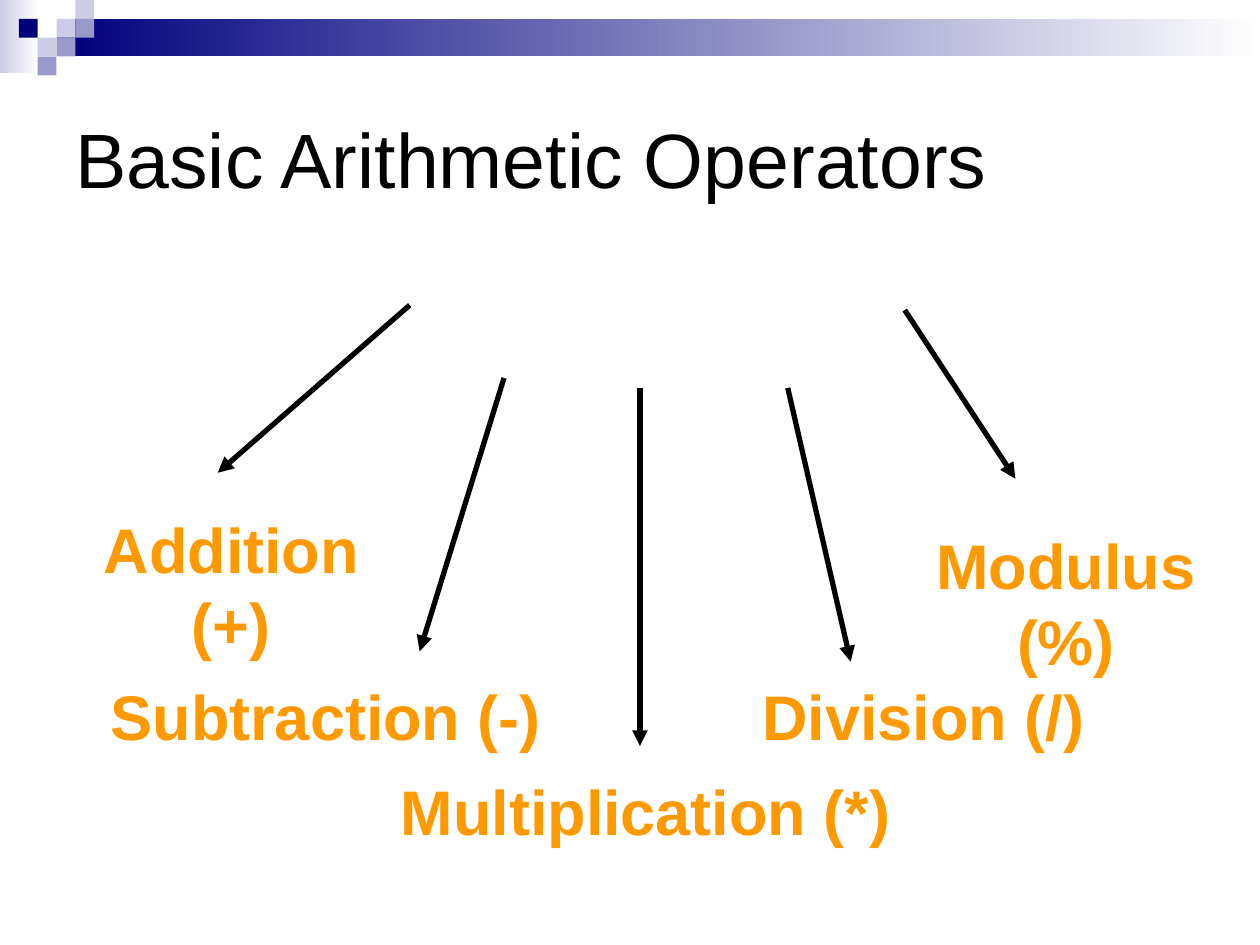
from dataclasses import dataclass

from lxml import etree
from pptx import Presentation
from pptx.dml.color import RGBColor
from pptx.enum.shapes import MSO_CONNECTOR, MSO_SHAPE
from pptx.enum.text import MSO_ANCHOR, MSO_AUTO_SIZE, PP_ALIGN
from pptx.oxml.ns import qn
from pptx.util import Cm, Pt

RECTANGLE = MSO_SHAPE.RECTANGLE
STRAIGHT = MSO_CONNECTOR.STRAIGHT
MIDDLE, TOP = MSO_ANCHOR.MIDDLE, MSO_ANCHOR.TOP
LEFT, CENTER = PP_ALIGN.LEFT, PP_ALIGN.CENTER
FIT_SHAPE, FIXED = MSO_AUTO_SIZE.SHAPE_TO_FIT_TEXT, MSO_AUTO_SIZE.NONE


@dataclass(frozen=True)
class Theme:
    font: str = "Arial"
    title_size: int = 44
    label_size: int = 36
    arrow_width: int = 3
    black: str = "000000"
    white: str = "FFFFFF"
    orange: str = "FF9900"
    navy: str = "00007D"
    lavender: str = "CCCCE6"
    periwinkle: str = "9999CC"


THEME = Theme()
TITLE_BOX = (1.27, 1.27, 22.86, 3.81)
BANNER_BOX = (0, 0, 25.4, 1.52)
TILE = 0.38
TILES = [
    (3, 1, THEME.lavender),
    (4, 0, THEME.lavender),
    (4, 1, THEME.periwinkle),
    (2, 2, THEME.lavender),
    (1, 1, THEME.navy),
    (3, 2, THEME.periwinkle),
    (2, 3, THEME.periwinkle),
]
OPERATORS = [
    ("Addition (+)", (1.07, 10.16, 7.19, 3.3), (3.32, -0.63), (7.19, -4.01)),
    ("Subtraction (-)", (1.91, 13.54, 9.32, 1.78), (6.55, -0.41), (8.25, -5.92)),
    ("Multiplication (*)", (7.62, 15.44, 10.8, 1.78), (5.28, -0.4), (5.28, -7.62)),
    ("Division (/)", (14.17, 13.54, 8.89, 1.78), (2.98, -0.2), (1.71, -5.72)),
    ("Modulus (%)", (17.58, 10.49, 7.82, 3.3), (2.89, -0.84), (0.66, -4.24)),
]


def add_block(shapes, box, *colors):
    block = shapes.add_shape(RECTANGLE, *map(Cm, box))
    block.shadow.inherit = False
    block.line.fill.background()
    if len(colors) == 1:
        block.fill.solid()
        block.fill.fore_color.rgb = RGBColor.from_string(colors[0])
    else:
        block.fill.gradient()
        block.fill.gradient_angle = 0
        for stop, color in zip(block.fill.gradient_stops, colors):
            stop.color.rgb = RGBColor.from_string(color)


def add_text(shapes, box, text, size, color, bold, align, anchor, fit):
    text_box = shapes.add_textbox(*map(Cm, box))
    frame = text_box.text_frame
    frame.word_wrap = True
    frame.auto_size = fit
    frame.vertical_anchor = anchor
    para = frame.paragraphs[0]
    para.text = text
    para.alignment = align
    para.font.name = THEME.font
    para.font.size = Pt(size)
    para.font.bold = bold
    para.font.color.rgb = RGBColor.from_string(color)


def add_arrow(shapes, tip, tail):
    arrow = shapes.add_connector(STRAIGHT, *map(Cm, tip + tail))
    arrow.line.width = Pt(THEME.arrow_width)
    arrow.line.color.rgb = RGBColor.from_string(THEME.black)
    etree.SubElement(arrow.line._get_or_add_ln(), qn("a:headEnd"), type="triangle")
    etree.SubElement(arrow._element.spPr, qn("a:effectLst"))


def add_banner(page, box):
    left, top, width, height = box
    shapes = page.shapes.add_group_shape().shapes
    add_block(shapes, (left, top, 0.79, 1.47), THEME.lavender, THEME.white)
    bar_left = 3 * TILE
    add_block(shapes, (left + bar_left, top + TILE, width - bar_left, height / 2),
              THEME.navy, THEME.white)
    for column, row, color in TILES:
        add_block(shapes, (left + column * TILE, top + row * TILE, TILE, TILE), color)


def add_title(page, box):
    add_text(page.shapes, box, "Basic Arithmetic Operators", THEME.title_size,
             THEME.black, False, LEFT, MIDDLE, FIXED)


def add_operator(page, box, label, tip, tail):
    left, top = box[:2]
    shapes = page.shapes.add_group_shape().shapes
    add_text(shapes, box, label, THEME.label_size, THEME.orange, True,
             CENTER, TOP, FIT_SHAPE)
    add_arrow(shapes, (left + tip[0], top + tip[1]), (left + tail[0], top + tail[1]))


def main():
    deck = Presentation()
    deck.slide_width, deck.slide_height = Cm(25.4), Cm(19.05)
    page = deck.slides.add_slide(deck.slide_layouts[6])
    page.background.fill.solid()
    page.background.fill.fore_color.rgb = RGBColor.from_string(THEME.white)
    add_banner(page, BANNER_BOX)
    add_title(page, TITLE_BOX)
    for label, box, tip, tail in OPERATORS:
        add_operator(page, box, label, tip, tail)
    deck.save("out.pptx")


if __name__ == "__main__":
    main()
